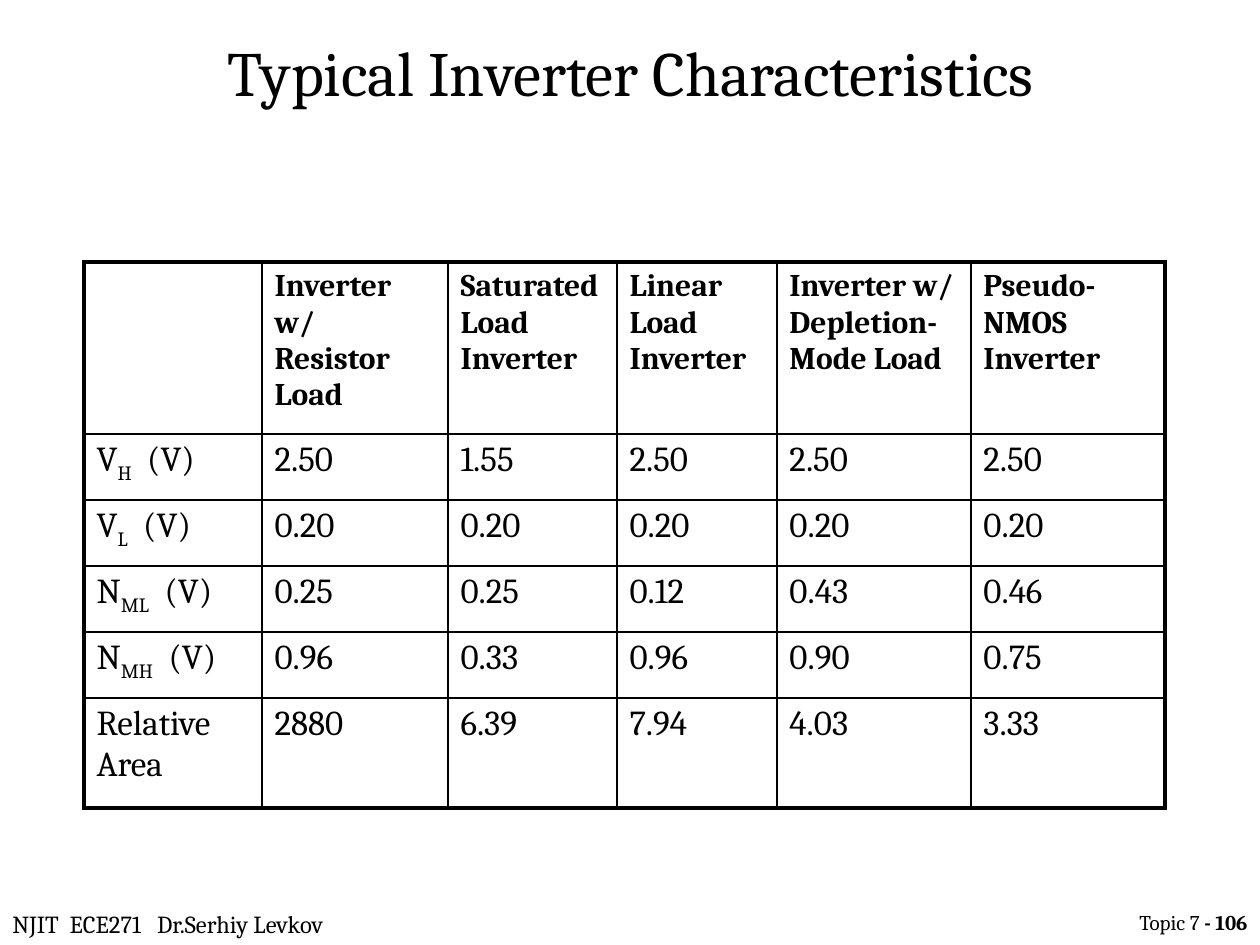
from dataclasses import dataclass

from lxml.etree import SubElement
from pptx import Presentation
from pptx.dml.color import RGBColor
from pptx.enum.text import MSO_ANCHOR as Anchor, MSO_AUTO_SIZE as AutoSize, PP_ALIGN as Align
from pptx.oxml.ns import qn
from pptx.util import Emu, Pt

PX_PER_INCH = 126


def px(length):
    return Emu(round(length * 914400 / PX_PER_INCH))


@dataclass(frozen=True)
class Theme:
    font: str = "Cambria"
    ink: str = "000000"
    paper: str = "FFFFFF"
    title: int = 36
    body: int = 20
    header: int = 18
    footer: int = 14
    page: int = 12
    frame: float = 2.25
    grid: float = 1


def add_text(paragraph, text, *, theme, size, bold=False, subscript=False):
    run = paragraph.add_run()
    run.text = text
    font = run.font
    font.name, font.size, font.bold = theme.font, Pt(size), bold
    font.color.rgb = RGBColor.from_string(theme.ink)
    if subscript:
        font._element.set("baseline", "-25000")


class SlideBuilder:
    def __init__(self, slide, theme):
        self.slide = slide
        self.theme = theme
        slide.background.fill.solid()
        slide.background.fill.fore_color.rgb = RGBColor.from_string(theme.paper)

    def title(self, text, left, top, width, height):
        heading = self.slide.shapes.title
        heading.left, heading.top = px(left), px(top)
        heading.width, heading.height = px(width), px(height)
        frame = heading.text_frame
        frame.word_wrap, frame.auto_size = True, AutoSize.NONE
        frame.vertical_anchor = Anchor.MIDDLE
        line = frame.paragraphs[0]
        line.alignment, line.line_spacing = Align.CENTER, 0.8
        add_text(line, text, theme=self.theme, size=self.theme.title)

    def textbox(self, parts, left, top, width, height, *, size, align=Align.LEFT):
        box = self.slide.shapes.add_textbox(px(left), px(top), px(width), px(height))
        box.text_frame.word_wrap = True
        line = box.text_frame.paragraphs[0]
        line.alignment = align
        for text, bold in parts:
            add_text(line, text, theme=self.theme, size=size, bold=bold)

    def table(self, rows, left, top, widths, heights):
        grid = self.slide.shapes.add_table(
            len(rows), len(widths), px(left), px(top), px(sum(widths)), px(sum(heights))
        ).table
        grid.first_row = grid.horz_banding = False
        for column, width in zip(grid.columns, widths):
            column.width = px(width)
        for row, height in zip(grid.rows, heights):
            row.height = px(height)
        last_row, last_column = len(rows) - 1, len(widths) - 1
        for r, row in enumerate(rows):
            for c, content in enumerate(row):
                cell = grid.cell(r, c)
                outer = {"L": c == 0, "R": c == last_column, "T": r == 0, "B": r == last_row}
                self.borders(cell, outer)
                cell.fill.background()
                self.cell_text(cell, content, is_header=r == 0)

    def cell_text(self, cell, content, is_header):
        size = self.theme.header if is_header else self.theme.body
        line = cell.text_frame.paragraphs[0]
        line.space_before = Pt(size * 0.2)
        for i, part in enumerate(content.split("_")):
            if part:
                add_text(line, part, theme=self.theme, size=size,
                         bold=is_header, subscript=i == 1)

    def borders(self, cell, outer):
        properties = cell._tc.get_or_add_tcPr()
        for side, is_outer in outer.items():
            width = Pt(self.theme.frame if is_outer else self.theme.grid)
            edge = SubElement(properties, qn(f"a:ln{side}"), w=str(width))
            fill = SubElement(edge, qn("a:solidFill"))
            SubElement(fill, qn("a:srgbClr"), val=self.theme.ink)


CHARACTERISTICS = [
    ["", "Inverter w/ Resistor Load", "Saturated Load Inverter", "Linear Load Inverter",
     "Inverter w/ Depletion-Mode Load", "Pseudo-NMOS Inverter"],
    ["V_H_  (V)", "2.50", "1.55", "2.50", "2.50", "2.50"],
    ["V_L_  (V)", "0.20", "0.20", "0.20", "0.20", "0.20"],
    ["N_ML_  (V)", "0.25", "0.25", "0.12", "0.43", "0.46"],
    ["N_MH_  (V)", "0.96", "0.33", "0.96", "0.90", "0.75"],
    ["Relative Area", "2880", "6.39", "7.94", "4.03", "3.33"],
]


def main():
    deck = Presentation()
    deck.slide_width, deck.slide_height = px(1260), px(945)
    theme = Theme()
    page = SlideBuilder(deck.slides.add_slide(deck.slide_layouts[5]), theme)
    page.textbox([("NJIT  ECE271   Dr.Serhiy Levkov", False)], 0, 903, 400, 33,
                 size=theme.footer)
    page.title("Typical Inverter Characteristics", 95, 10, 1071, 136)
    page.table(CHARACTERISTICS, 84, 262, [178, 186, 169, 160, 194, 194],
               [172, 66, 66, 66, 66, 110])
    page.textbox([("Topic 7", False), (" - 106", True)], 998, 903, 262, 34,
                 size=theme.page, align=Align.RIGHT)
    deck.save("out.pptx")


if __name__ == "__main__":
    main()
